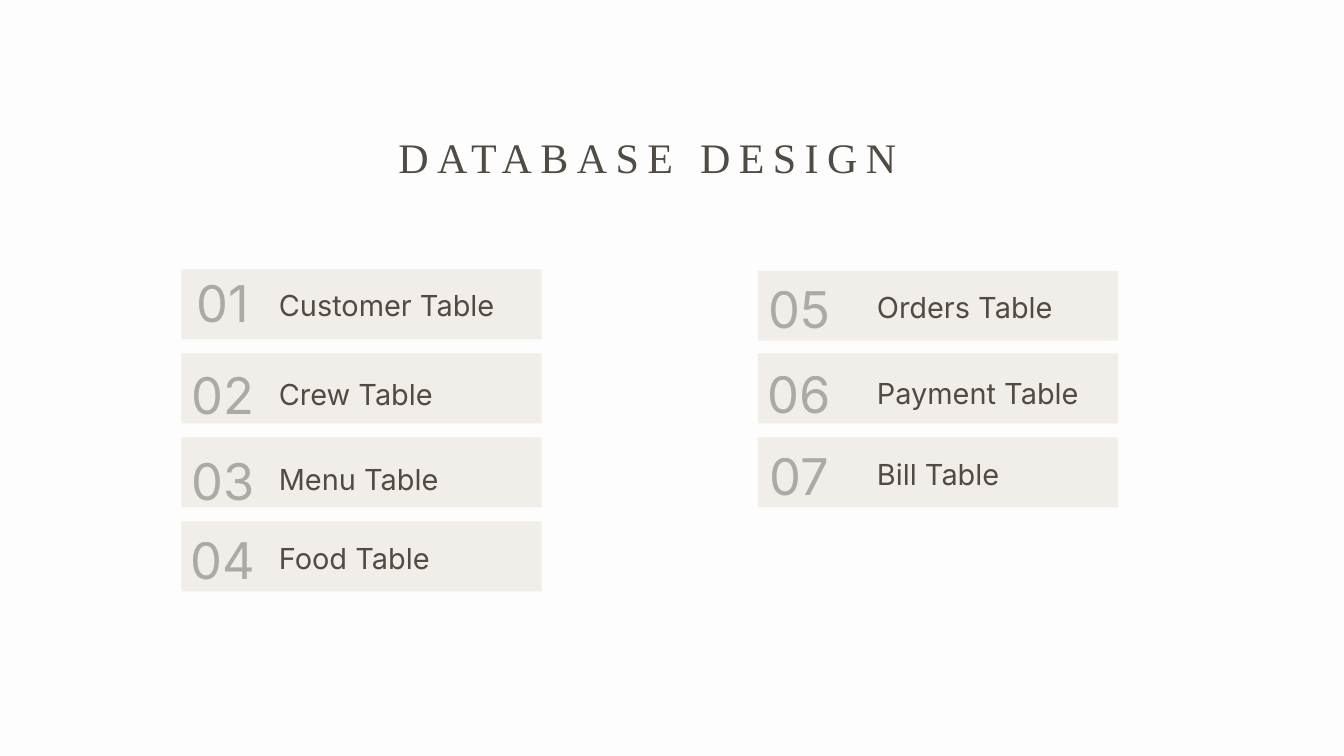
from lxml import etree
from pptx import Presentation
from pptx import util as u
from pptx.dml.color import RGBColor
from pptx.enum import shapes, text
from pptx.oxml.ns import qn

PX = u.Inches(1) // 100
PAPER = RGBColor(0xFD, 0xFD, 0xFD)
SAND = RGBColor(0xF1, 0xED, 0xE9)
INK = RGBColor(0x50, 0x4C, 0x44)

FIRST_ROW, ROW_STEP = 401, 125
BAR_WIDTH, BAR_HEIGHT = 536, 104

# Each entry: number, label, then vertical nudges of bar, number and label.
LEFT_TABLES = [
    ("01", "Customer Table", 0, -12, 19),
    ("02", "Crew Table", 0, 0, 26),
    ("03", "Menu Table", 0, 3, 27),
    ("04", "Food Table", 0, -4, 20),
]
RIGHT_TABLES = [
    ("05", "Orders Table", 2, -2, 21),
    ("06", "Payment Table", 0, -1, 25),
    ("07", "Bill Table", 0, -4, 20),
]


def px(*lengths):
    return [length * PX for length in lengths]


def style_text(box, words, font, size, spacing, align):
    frame = box.text_frame
    frame.text = words
    frame.word_wrap = True
    frame.auto_size = text.MSO_AUTO_SIZE.NONE
    frame.vertical_anchor = text.MSO_ANCHOR.TOP
    frame.margin_left = frame.margin_top = 0
    frame.margin_right = frame.margin_bottom = 0
    para = frame.paragraphs[0]
    para.alignment = align
    para.line_spacing = u.Pt(spacing)
    span = para.runs[0]
    span.font.name = font
    span.font.size = u.Pt(size)
    span.font.color.rgb = INK
    return span


def add_title(page, words):
    title = page.shapes.title
    title.left, title.top, title.width, title.height = px(458, 183, 1011, 82)
    span = style_text(title, words, "Times New Roman", 45, 63, text.PP_ALIGN.CENTER)
    span._r.get_or_add_rPr().set("spc", "900")


def add_bar(page, left, top):
    bar = page.shapes.add_shape(
        shapes.MSO_SHAPE.RECTANGLE, *px(left, top, BAR_WIDTH, BAR_HEIGHT))
    bar.shadow.inherit = False
    bar.fill.solid()
    bar.fill.fore_color.rgb = SAND
    bar.line.fill.background()


def add_number(page, left, top, number):
    box = page.shapes.add_textbox(*px(left, top, 124, 102))
    span = style_text(box, number, "Inter", 54.2, 75.9, text.PP_ALIGN.CENTER)
    color = span._r.rPr.find(qn("a:solidFill"))[0]
    etree.SubElement(color, qn("a:alpha")).set("val", "42000")


def add_label(page, left, top, label):
    box = page.shapes.add_textbox(*px(left, top, 637, 58))
    style_text(box, label, "Inter", 31, 43.4, text.PP_ALIGN.LEFT)


def add_column(page, left, label_left, tables):
    for row, (number, label, bar_dy, number_dy, label_dy) in enumerate(tables):
        top = FIRST_ROW + row * ROW_STEP
        add_bar(page, left, top + bar_dy)
        add_number(page, left, top + number_dy, number)
        add_label(page, label_left, top + label_dy, label)


def main():
    deck = Presentation()
    deck.slide_width, deck.slide_height = px(2000, 1125)
    page = deck.slides.add_slide(deck.slide_layouts[5])
    page.background.fill.solid()
    page.background.fill.fore_color.rgb = PAPER
    add_title(page, "DATABASE DESIGN")
    add_column(page, 270, 415, LEFT_TABLES)
    add_column(page, 1128, 1305, RIGHT_TABLES)
    deck.save("out.pptx")


if __name__ == "__main__":
    main()
